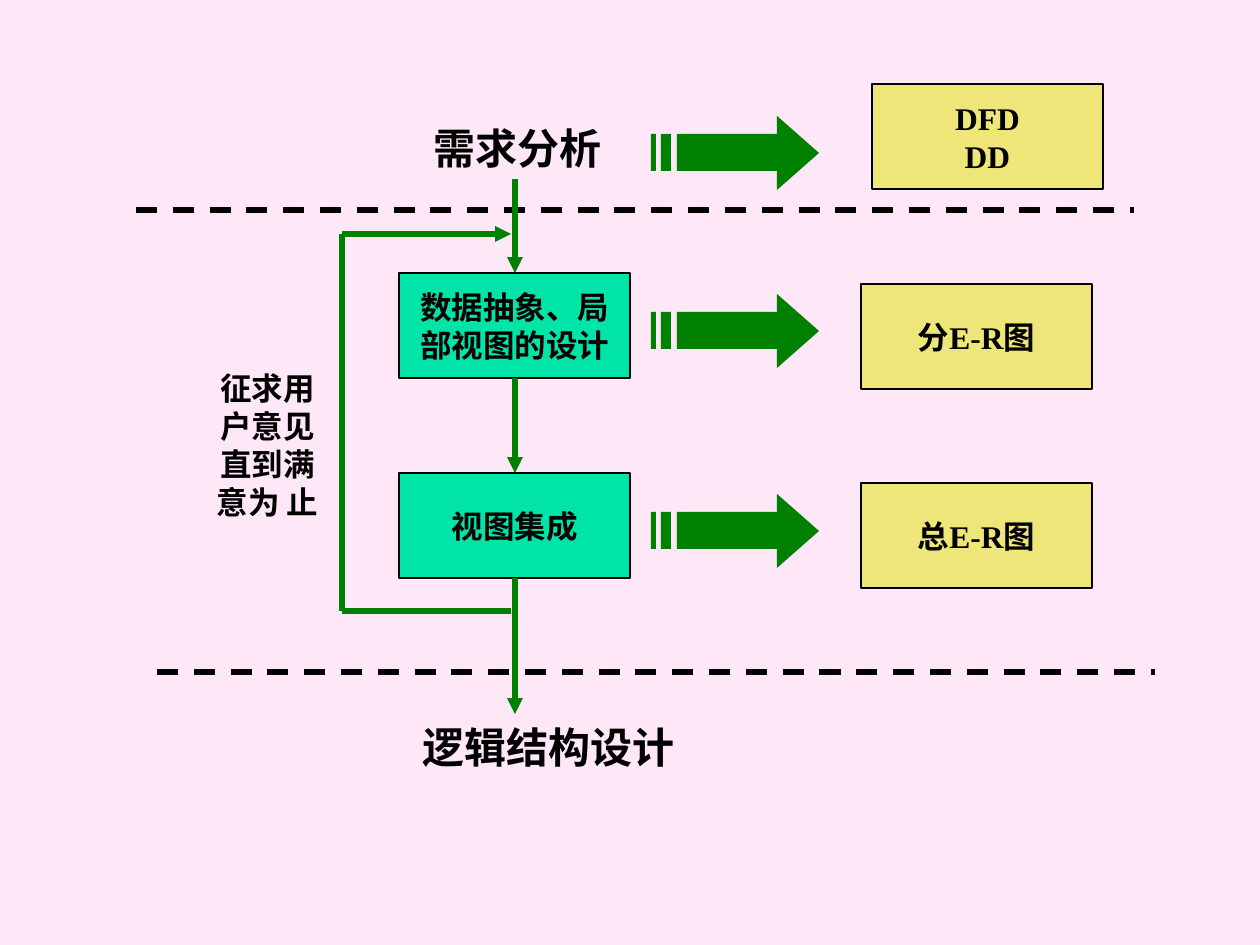
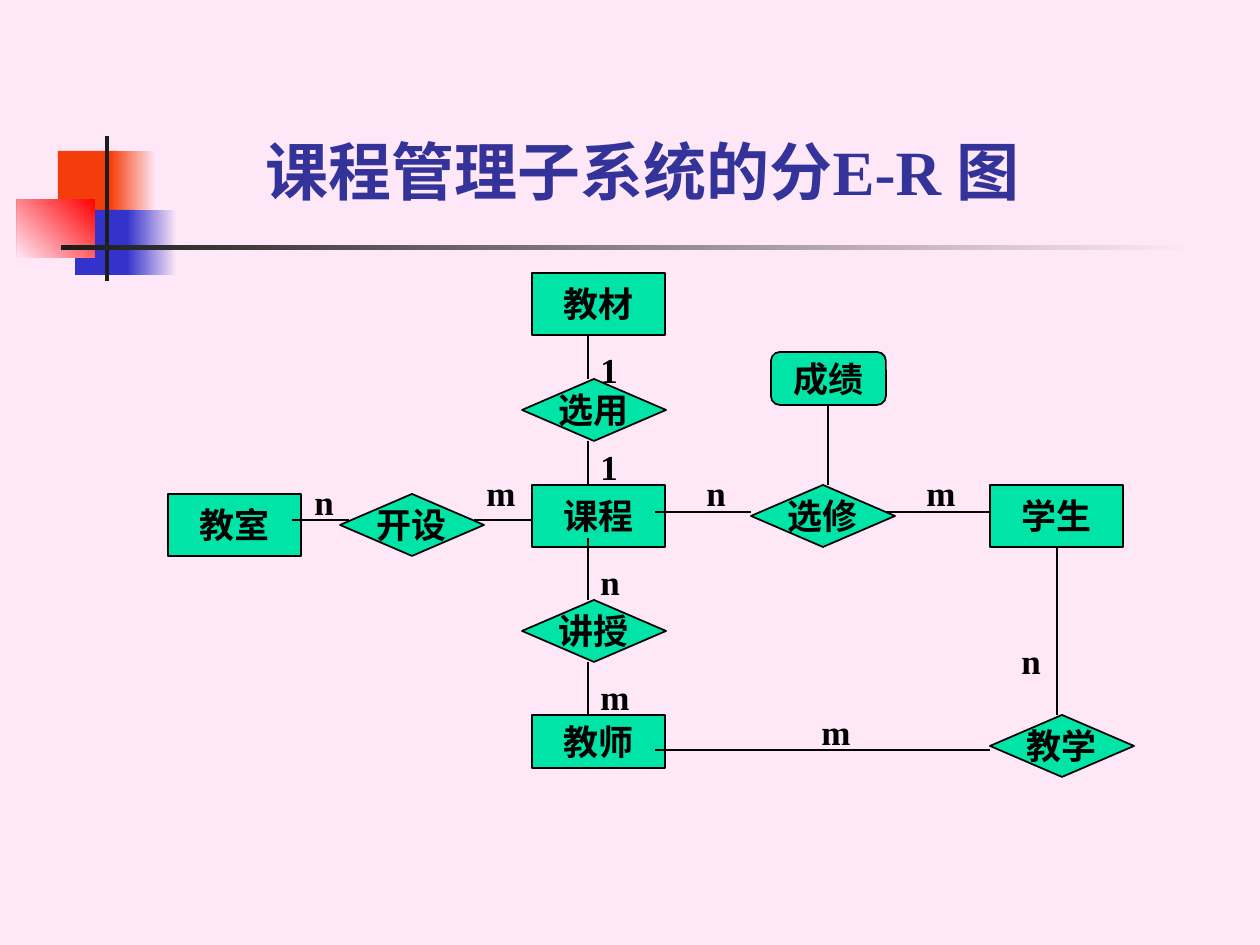
from dataclasses import dataclass

from lxml.etree import SubElement
from pptx import Presentation
from pptx.dml.color import RGBColor
from pptx.enum.dml import MSO_LINE
from pptx.enum.shapes import MSO_CONNECTOR, MSO_SHAPE
from pptx.enum.text import MSO_ANCHOR, MSO_AUTO_SIZE, PP_ALIGN
from pptx.oxml.ns import qn
from pptx.util import Emu, Pt

EMU_PER_PX = 914400 / 126


@dataclass(frozen=True)
class Theme:
    font: str = "Times New Roman"
    background: str = "FEE8F7"
    ink: str = "000000"
    title: str = "333399"
    process: str = "00E4A8"
    result: str = "EEE678"
    flow: str = "008000"
    orange: str = "F53D0B"
    blue: str = "3333CC"
    red: str = "FF0000"
    bar: str = "1C1C1C"
    title_size: int = 36
    stage_size: int = 24
    entity_size: int = 20
    step_size: int = 18
    thin: float = 0.75
    medium: float = 1
    thick: float = 3


THEME = Theme()


def px(length):
    return Emu(round(length * EMU_PER_PX))


def rgb(code):
    return RGBColor.from_string(code)


def write(shape, text, size, align, color=THEME.ink):
    """Fill a shape with one paragraph per line of text, in the shared bold font."""
    frame = shape.text_frame
    frame.text = text
    for para in frame.paragraphs:
        para.alignment = align
        for span in para.runs:
            span.font.name = THEME.font
            span.font.size = Pt(size)
            span.font.bold = True
            span.font.color.rgb = rgb(color)


def add_box(page, kind, text, area, fill, size, border):
    box = page.shapes.add_shape(kind, *map(px, area))
    box.shadow.inherit = False
    box.fill.solid()
    box.fill.fore_color.rgb = rgb(fill)
    box.line.color.rgb = rgb(THEME.ink)
    box.line.width = Pt(border)
    write(box, text, size, PP_ALIGN.CENTER)
    box.text_frame.word_wrap = False
    box.text_frame.vertical_anchor = MSO_ANCHOR.MIDDLE


def add_label(page, text, area, size, align=PP_ALIGN.LEFT, wrap=False):
    label = page.shapes.add_textbox(*map(px, area))
    write(label, text, size, align)
    label.text_frame.word_wrap = wrap
    label.text_frame.auto_size = MSO_AUTO_SIZE.SHAPE_TO_FIT_TEXT


def add_line(page, ends, color, width, dashed=False, arrow=False):
    line = page.shapes.add_connector(MSO_CONNECTOR.STRAIGHT, *map(px, ends))
    line.line.color.rgb = rgb(color)
    line.line.width = Pt(width)
    if dashed:
        line.line.dash_style = MSO_LINE.DASH
    properties = line._element.spPr
    if arrow:
        SubElement(properties.find(qn("a:ln")), qn("a:tailEnd"), type="triangle")
    SubElement(properties, qn("a:effectLst"))


def add_striped_arrow(page, left, top):
    """Draw a block arrow with two stripes trailing behind it."""
    shaft_top, shaft_bottom = top + 18, top + 55
    head = [(126, shaft_top), (126, top), (168, top + 37),
            (126, top + 74), (126, shaft_bottom), (26, shaft_bottom)]
    builder = page.shapes.build_freeform(left + 26, shaft_top, EMU_PER_PX)
    builder.add_line_segments([(left + x, y) for x, y in head])
    for start, end in ((0, 5), (10, 20)):
        builder.move_to(left + start, shaft_top)
        builder.add_line_segments([(left + end, shaft_top), (left + end, shaft_bottom),
                                   (left + start, shaft_bottom)])
    arrow = builder.convert_to_shape()
    arrow.shadow.inherit = False
    arrow.fill.solid()
    arrow.fill.fore_color.rgb = rgb(THEME.flow)
    arrow.line.fill.background()


def add_block(page, area, colors, angle=180):
    """Draw a borderless block; two colours make a gradient at a clockwise angle."""
    block = page.shapes.add_shape(MSO_SHAPE.RECTANGLE, *map(px, area))
    block.shadow.inherit = False
    block.line.fill.background()
    if len(colors) == 1:
        block.fill.solid()
        block.fill.fore_color.rgb = rgb(colors[0])
        return
    block.fill.gradient()
    block.fill.gradient_angle = 360 - angle
    for stop, color, position in zip(block.fill.gradient_stops, colors, (0, 1)):
        stop.color.rgb = rgb(color)
        stop.position = position


def add_title_ornament(page):
    pale = THEME.background
    add_block(page, (58, 151, 60, 66), [THEME.orange])
    add_block(page, (110, 151, 46, 66), [pale, THEME.orange])
    add_block(page, (75, 210, 58, 65), [THEME.blue])
    add_block(page, (127, 210, 50, 65), [pale, THEME.blue])
    add_block(page, (17, 199, 78, 59), [THEME.red, pale], 135)
    add_block(page, (105, 136, 4, 145), [THEME.bar])
    add_block(page, (61, 245, 1134, 5), [pale, THEME.bar])


def set_title(page, text, area):
    title = page.shapes.title
    title.left, title.top, title.width, title.height = map(px, area)
    write(title, text, THEME.title_size, PP_ALIGN.LEFT, THEME.title)
    title.text_frame.vertical_anchor = MSO_ANCHOR.TOP
    title.text_frame.auto_size = MSO_AUTO_SIZE.NONE


def build_design_flow(deck):
    page = deck.slides.add_slide(deck.slide_layouts.get_by_name("Blank"))
    for left, top in ((136, 210), (157, 672)):
        add_line(page, (left, top, left + 998, top), THEME.ink, THEME.thick, dashed=True)

    add_label(page, "需求分析", (421, 116, 193, 63), THEME.stage_size)
    add_label(page, "逻辑结构设计", (410, 715, 277, 63), THEME.stage_size)
    steps = [
        ("数据抽象、局\n部视图的设计", 399, 273, THEME.process),
        ("视图集成", 399, 473, THEME.process),
        ("DFD\nDD", 872, 84, THEME.result),
        ("分E-R图", 861, 284, THEME.result),
        ("总E-R图", 861, 483, THEME.result),
    ]
    for text, left, top, fill in steps:
        add_box(page, MSO_SHAPE.RECTANGLE, text, (left, top, 231, 105), fill,
                THEME.step_size, THEME.thin)
    for top in (116, 294, 494):
        add_striped_arrow(page, 651, top)

    for start, end in ((179, 273), (378, 473), (578, 714)):
        add_line(page, (515, start, 515, end), THEME.flow, THEME.thick, arrow=True)
    add_label(page, "征求用户意见直到满意为 止", (203, 363, 129, 164),
              THEME.step_size, PP_ALIGN.CENTER, wrap=True)
    add_line(page, (342, 234, 511, 234), THEME.flow, THEME.thick, arrow=True)
    add_line(page, (342, 234, 342, 611), THEME.flow, THEME.thick)
    add_line(page, (342, 611, 511, 611), THEME.flow, THEME.thick)


def build_course_diagram(deck):
    page = deck.slides.add_slide(deck.slide_layouts.get_by_name("Title Only"))
    add_title_ornament(page)
    set_title(page, "课程管理子系统的分E-R 图", (253, 126, 814, 88))

    entity, relation = (MSO_SHAPE.RECTANGLE, 133), (MSO_SHAPE.DIAMOND, 144)
    attribute = (MSO_SHAPE.ROUNDED_RECTANGLE, 115)
    nodes = [
        (entity, "教材", 532, 273, 62),
        (entity, "课程", 532, 485, 62),
        (entity, "学生", 990, 485, 62),
        (entity, "教师", 532, 715, 53),
        (entity, "教室", 168, 494, 62),
        (relation, "选用", 522, 379, 62),
        (relation, "讲授", 522, 600, 62),
        (relation, "开设", 340, 494, 62),
        (relation, "选修", 751, 485, 62),
        (relation, "教学", 990, 715, 62),
        (attribute, "成绩", 771, 352, 53),
    ]
    for (kind, width), text, left, top, height in nodes:
        add_box(page, kind, text, (left, top, width, height), THEME.process,
                THEME.entity_size, THEME.medium)

    vertical_links = [(588, 335, 379), (588, 441, 485), (588, 538, 600),
                      (588, 662, 715), (828, 405, 485), (1057, 547, 715)]
    horizontal_links = [(520, 292, 349), (520, 474, 532), (512, 655, 751),
                        (512, 886, 990), (750, 655, 990)]
    links = [(x, start, x, end) for x, start, end in vertical_links]
    links += [(start, y, end, y) for y, start, end in horizontal_links]
    for ends in links:
        add_line(page, ends, THEME.ink, THEME.medium)

    label_widths = {"1": 43, "n": 44, "m": 54}
    cardinalities = [
        ("1", 588, 342), ("1", 588, 439), ("n", 588, 554), ("m", 588, 669),
        ("n", 302, 474), ("m", 474, 465), ("n", 694, 465), ("m", 914, 465),
        ("n", 1009, 633), ("m", 809, 704),
    ]
    for text, left, top in cardinalities:
        add_label(page, text, (left, top, label_widths[text], 55), THEME.entity_size)


def main():
    deck = Presentation()
    deck.slide_width, deck.slide_height = px(1260), px(945)
    background = deck.slide_master.background.fill
    background.solid()
    background.fore_color.rgb = rgb(THEME.background)
    build_design_flow(deck)
    build_course_diagram(deck)
    deck.save("out.pptx")


if __name__ == "__main__":
    main()
